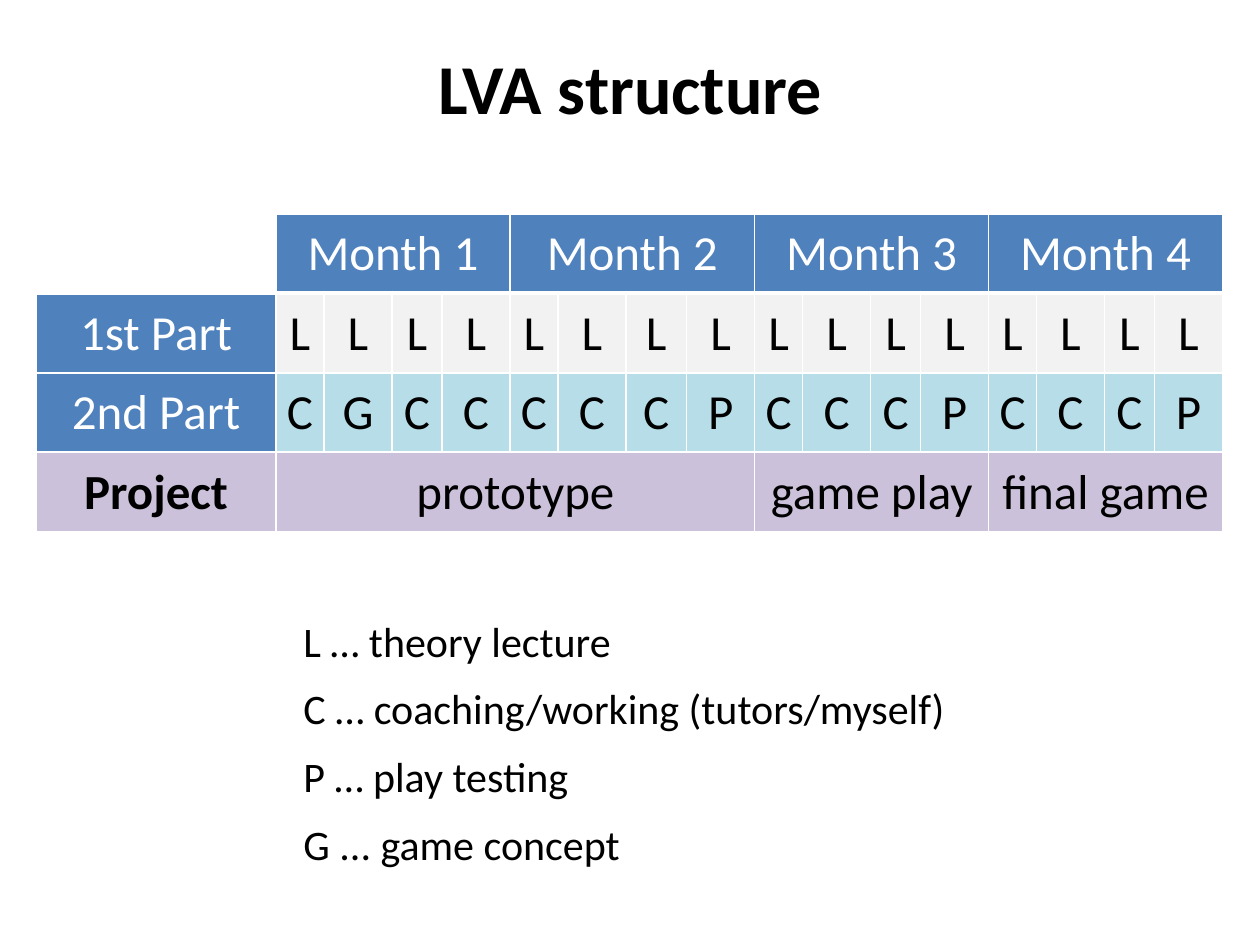
"""Builds the LVA structure slide: a semester timetable and its legend."""
import dataclasses
from typing import Optional

import lxml.etree
import pptx
import pptx.dml.color
import pptx.enum.text
import pptx.oxml.ns
import pptx.util

PX = 914400 / 126
FONT = "Calibri"
COLORS = {
    "white": "FFFFFF",
    "black": "000000",
    "heading": "4F81BD",
    "lecture": "F2F2F2",
    "practice": "B7DEE8",
    "project": "CCC1DA",
}
CENTER = pptx.enum.text.PP_ALIGN.CENTER
LEFT = pptx.enum.text.PP_ALIGN.LEFT
MIDDLE = pptx.enum.text.MSO_ANCHOR.MIDDLE
TOP = pptx.enum.text.MSO_ANCHOR.TOP

WEEKS_PER_MONTH = 4
LABEL_WIDTH = 240
MONTH_WIDTHS = [[48, 68, third, 68] for third in (50, 61, 50, 50)]
ROW_HEIGHTS = [79, 80, 79, 80]


@dataclasses.dataclass(frozen=True)
class Entry:
    text: str
    span: int = 1
    fill: Optional[str] = None
    color: str = "black"
    bold: bool = False


@dataclasses.dataclass(frozen=True)
class Area:
    left: int
    top: int
    width: int
    height: int

    def emu(self) -> list[int]:
        return [px(length) for length in dataclasses.astuple(self)]


def px(length: int) -> int:
    return pptx.util.Emu(round(length * PX))


def rgb(name: str) -> pptx.dml.color.RGBColor:
    return pptx.dml.color.RGBColor.from_string(COLORS[name])


def write(frame, text: str, *, size: int, color: str = "black", bold: bool = False,
          align=CENTER, gap: int = 0, line_spacing: Optional[float] = None) -> None:
    for index, line in enumerate(text.split("\n")):
        paragraph = frame.add_paragraph() if index else frame.paragraphs[0]
        paragraph.alignment = align
        if index and gap:
            paragraph.space_before = pptx.util.Pt(gap)
        if line_spacing:
            paragraph.line_spacing = line_spacing
        run = paragraph.add_run()
        run.text = line
        run.font.name = FONT
        run.font.size = pptx.util.Pt(size)
        run.font.bold = bold
        run.font.color.rgb = rgb(color)


def add_text(slide, area: Area, text: str, *, anchor=TOP, top_inset: int = 6, **style) -> None:
    box = slide.shapes.add_textbox(*area.emu())
    box.fill.solid()
    box.fill.fore_color.rgb = rgb("white")
    frame = box.text_frame
    frame.word_wrap = True
    frame.vertical_anchor = anchor
    frame.margin_top = px(top_inset)
    write(frame, text, **style)


def add_borders(cell, bottom: int) -> None:
    properties = cell._tc.get_or_add_tcPr()
    qn = pptx.oxml.ns.qn
    for side, points in {"L": 1, "R": 1, "T": 1, "B": bottom}.items():
        line = lxml.etree.SubElement(properties, qn(f"a:ln{side}"), w=str(pptx.util.Pt(points)))
        fill = lxml.etree.SubElement(line, qn("a:solidFill"))
        lxml.etree.SubElement(fill, qn("a:srgbClr"), val=COLORS["white"])


def fill_cell(cell, entry: Entry) -> None:
    if entry.fill:
        cell.fill.solid()
        cell.fill.fore_color.rgb = rgb(entry.fill)
    else:
        cell.fill.background()
    cell.vertical_anchor = MIDDLE
    cell.margin_left = cell.margin_right = cell.margin_top = px(1)
    cell.margin_bottom = 0
    if entry.text:
        write(cell.text_frame, entry.text, size=28, color=entry.color, bold=entry.bold)


def add_timetable(slide, area: Area, rows: list[list[Entry]]) -> None:
    widths = [LABEL_WIDTH, *(width for month in MONTH_WIDTHS for width in month)]
    timetable = slide.shapes.add_table(len(rows), len(widths), *area.emu()).table
    timetable.first_row = timetable.horz_banding = False
    for column, width in zip(timetable.columns, widths):
        column.width = px(width)
    for row_index, (entries, height) in enumerate(zip(rows, ROW_HEIGHTS)):
        timetable.rows[row_index].height = px(height)
        for cell in timetable.rows[row_index].cells:
            add_borders(cell, bottom=1 if row_index else 3)
        start = 0
        for entry in entries:
            cell = timetable.cell(row_index, start)
            if entry.span > 1:
                cell.merge(timetable.cell(row_index, start + entry.span - 1))
            fill_cell(cell, entry)
            start += entry.span


def heading(text: str, span: int = 1) -> Entry:
    return Entry(text, span, "heading", "white")


def weeks(codes: str, fill: str) -> list[Entry]:
    return [Entry(code, fill=fill) for code in codes]


def main() -> None:
    presentation = pptx.Presentation()
    presentation.slide_width, presentation.slide_height = px(1260), px(945)
    slide = presentation.slides.add_slide(presentation.slide_layouts[6])

    add_text(slide, Area(36, 40, 1188, 100), "LVA structure", anchor=MIDDLE, top_inset=10,
             size=40, bold=True, line_spacing=0.9)
    add_text(slide, Area(291, 609, 677, 270),
             "L … theory lecture\nC … coaching/working (tutors/myself)\n"
             "P … play testing\nG ... game concept",
             size=24, align=LEFT, gap=10)

    months = [heading(f"Month {number}", WEEKS_PER_MONTH) for number in range(1, 5)]
    stages = {"prototype": 2, "game play": 1, "final game": 1}
    add_timetable(slide, Area(36, 214, 1187, sum(ROW_HEIGHTS)), [
        [Entry(""), *months],
        [heading("1st Part"), *weeks("L" * 16, "lecture")],
        [heading("2nd Part"), *weeks("CGCCCCCPCCCPCCCP", "practice")],
        [Entry("Project", fill="project", bold=True),
         *(Entry(stage, length * WEEKS_PER_MONTH, "project") for stage, length in stages.items())],
    ])
    presentation.save("out.pptx")


if __name__ == "__main__":
    main()
